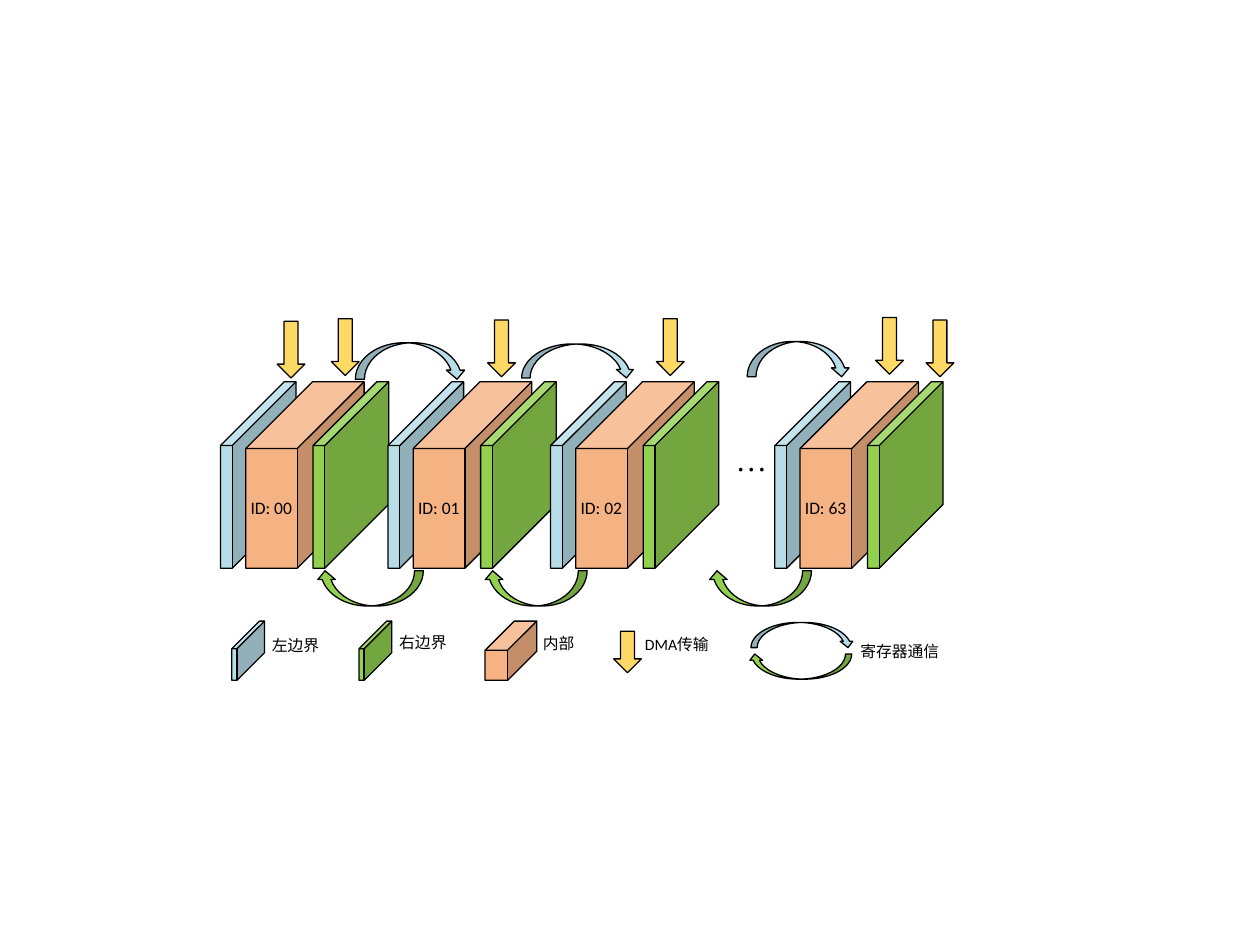
from pptx import Presentation
from pptx.dml.color import RGBColor
from pptx.enum.shapes import MSO_SHAPE as Shape
from pptx.enum.text import MSO_AUTO_SIZE as AutoSize
from pptx.util import Inches, Pt

COLUMNS, ROWS = 100, 75
SLIDE_WIDTH, SLIDE_HEIGHT = Inches(10), Inches(7.5)
LEFT_BLUE, INNER_ORANGE, RIGHT_GREEN = "B7DDE8", "F5B283", "92D050"
DMA_YELLOW, BLACK = "FFD966", "000000"
SLAB_DEPTH, INNER_DEPTH = 0.844, 0.564
BLOCK_TOP, BLOCK_HEIGHT = 30.3, 14.8
ARROW_WIDTH = 2.2

# Left column of each block, with its label
BLOCKS = [(17.5, "ID: 00"), (30.8, "ID: 01"), (43.7, "ID: 02"), (61.5, "ID: 63")]
# Column and row of each DMA arrow
DMA_ARROWS = [(26.3, 25.3), (38.7, 25.4), (52.1, 25.3),
              (69.5, 25.2), (22, 25.5), (73.5, 25.4)]
# Column, row, width and height of each arc
FORWARD_ARCS = [(59.3, 27.1, 8.2, 2.8), (41.4, 27.3, 9, 2.7), (28.2, 27.2, 8.8, 2.9)]
BACKWARD_ARCS = [(25.1, 45.3, 8.5, 2.8), (38.4, 45.3, 8.2, 2.8), (56.2, 45.3, 8.2, 2.8)]


def color(hex_string):
    """Turn a hex string into a colour."""
    return RGBColor.from_string(hex_string)


def grid(column, row, width, height):
    """Turn grid columns and rows into slide lengths."""
    across, down = SLIDE_WIDTH / COLUMNS, SLIDE_HEIGHT / ROWS
    return [int(length) for length in
            (column * across, row * down, width * across, height * down)]


def add_solid(shapes, kind, place, fill):
    """Add a filled preset shape with a thin black outline."""
    solid = shapes.add_shape(kind, *grid(*place))
    solid.shadow.inherit = False
    solid.fill.solid()
    solid.fill.fore_color.rgb = color(fill)
    solid.line.color.rgb = color(BLACK)
    solid.line.width = Pt(0.75)
    return solid


def add_cube(shapes, place, fill, depth):
    """Add a cube whose depth is a share of its shorter side."""
    cube = add_solid(shapes, Shape.CUBE, place, fill)
    cube.adjustments[0] = depth


def add_arc(shapes, place, forward=True):
    """Add a curved arrow, over the top to the right or below to the left."""
    fill = LEFT_BLUE if forward else RIGHT_GREEN
    arc = add_solid(shapes, Shape.CURVED_DOWN_ARROW, place, fill)
    arc.rotation = 0 if forward else 180


def add_label(shapes, text, place, size, font="Calibri", wrap=False):
    """Add a one-paragraph text box."""
    box = shapes.add_textbox(*grid(*place))
    frame = box.text_frame
    frame.word_wrap = wrap
    frame.auto_size = AutoSize.SHAPE_TO_FIT_TEXT
    para = frame.paragraphs[0]
    para.text = text
    para.font.size = Pt(size)
    para.font.name = font
    para.font.color.rgb = color(BLACK)


def add_block(shapes, column):
    """Add the left boundary, interior and right boundary of one block."""
    for offset, width, fill, depth in [(0, 6, LEFT_BLUE, SLAB_DEPTH),
                                       (2, 9.4, INNER_ORANGE, INNER_DEPTH),
                                       (7.35, 6, RIGHT_GREEN, SLAB_DEPTH)]:
        add_cube(shapes, (column + offset, BLOCK_TOP, width, BLOCK_HEIGHT), fill, depth)


def add_transfers(shapes):
    """Add the DMA arrows and the forward arcs above the blocks."""
    for column, row in DMA_ARROWS:
        add_solid(shapes, Shape.DOWN_ARROW, (column, row, ARROW_WIDTH, 4.5), DMA_YELLOW)
    for place in FORWARD_ARCS:
        add_arc(shapes, place)


def add_legend(shapes):
    """Add the legend, each entry as a group of symbol and label."""
    cubes = [("左边界", 18.4, 2.6, LEFT_BLUE, SLAB_DEPTH, (20.6, 50, 5.8, 2.5)),
             ("内部", 38.5, 4.1, INNER_ORANGE, INNER_DEPTH, (42.1, 49.8, 4.5, 2.5)),
             ("右边界", 28.5, 2.6, RIGHT_GREEN, SLAB_DEPTH, (30.7, 49.7, 5.8, 2.5))]
    for text, column, width, fill, depth, label_place in cubes:
        entry = shapes.add_group_shape().shapes
        add_cube(entry, (column, 49.3, width, 4.7), fill, depth)
        add_label(entry, text, label_place, 9)

    transfer = shapes.add_group_shape().shapes
    add_solid(transfer, Shape.DOWN_ARROW, (48.7, 50.1, ARROW_WIDTH, 3.3), DMA_YELLOW)
    add_label(transfer, "DMA传输", (50.2, 49.9, 7.1, 2.5), 9, wrap=True)

    exchange = shapes.add_group_shape().shapes
    add_arc(exchange, (59.6, 49.4, 8.2, 2))
    add_arc(exchange, (59.4, 51.9, 8.2, 2), forward=False)
    add_label(exchange, "寄存器通信", (67.3, 50.4, 8.3, 2.5), 9)


def main():
    """Build the slide and save it."""
    deck = Presentation()
    deck.slide_width, deck.slide_height = SLIDE_WIDTH, SLIDE_HEIGHT
    page = deck.slides.add_slide(deck.slide_layouts[6])
    shapes = page.shapes

    first, *others = BLOCKS
    add_block(shapes, first[0])
    add_label(shapes, "…", (57.4, 34.4, 4.5, 4), 18, "Times New Roman")
    add_transfers(shapes)
    for column, _ in others:
        add_block(shapes, column)
    for place in BACKWARD_ARCS:
        add_arc(shapes, place, forward=False)
    add_legend(shapes)
    for column, name in BLOCKS:
        add_label(shapes, name, (column + 1.4, 38.95, 5.4, 2.7), 10)

    deck.save("out.pptx")


main()
